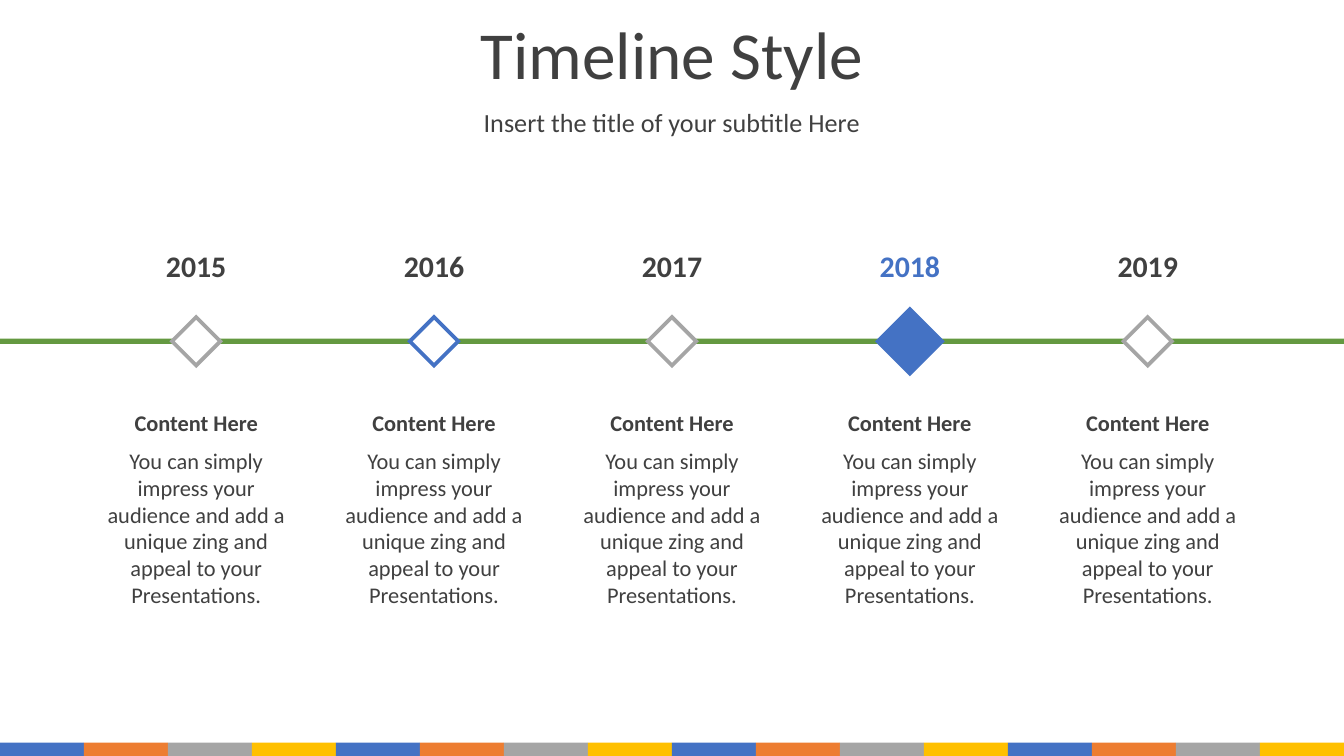
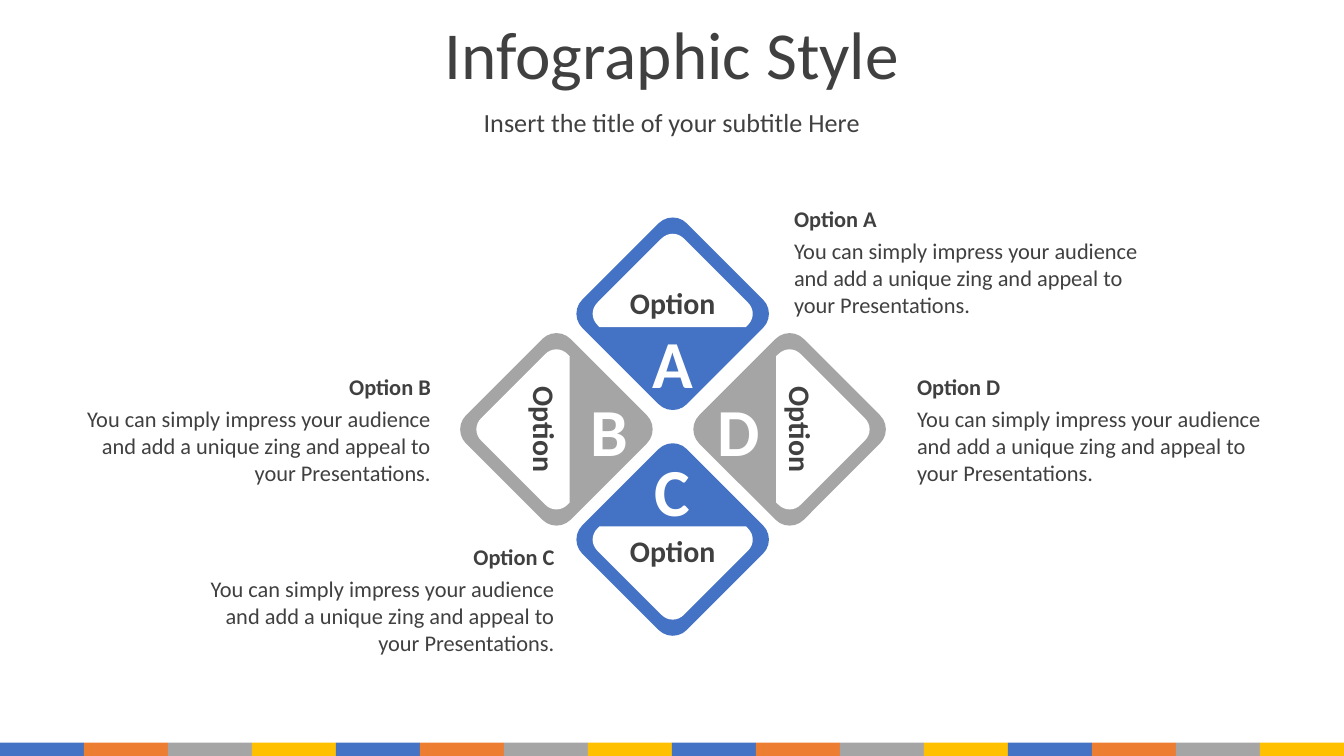
"""Build a timeline slide and a four-option infographic slide."""
from lxml import etree
from pptx import Presentation
from pptx.dml.color import RGBColor
from pptx.enum.shapes import MSO_SHAPE as Shape
from pptx.enum.text import MSO_ANCHOR as Anchor, MSO_AUTO_SIZE as AutoSize, PP_ALIGN as Align
from pptx.oxml.ns import qn
from pptx.util import Pt

PX = 4572
WIDTH, HEIGHT = 2000, 1125
FONT = "Calibri"
DARK, WHITE, GREEN = "404040", "FFFFFF", "649941"
BLUE, ORANGE, GRAY, GOLD = "4472C4", "ED7D31", "A5A5A5", "FFC000"
BAND_COLORS = [BLUE, ORANGE, GRAY, GOLD] * 4
BAND_HEIGHT = 20

SUBTITLE = "Insert the title of your subtitle Here"
PITCH = ("You can simply impress your audience and add a unique zing "
         "and appeal to your Presentations.")

# year, year color, marker size, marker fill, marker outline
MILESTONES = [
    ("2015", DARK, 72, WHITE, GRAY),
    ("2016", DARK, 72, WHITE, BLUE),
    ("2017", DARK, 72, WHITE, GRAY),
    ("2018", BLUE, 96, BLUE, BLUE),
    ("2019", DARK, 72, WHITE, GRAY),
]
MILESTONE_TITLE = "Content Here"
FIRST_X, STEP_X, AXIS_Y = 292, 354, 508

# letter, color, tile center, outward direction, cap turn, letter inset, text corner, alignment
OPTIONS = [
    ("A", BLUE, (1001, 467), (0, -1), 225, 71, (1162, 294), Align.LEFT),
    ("B", GRAY, (828, 639), (-1, 0), 135, 78, (95, 544), Align.RIGHT),
    ("C", BLUE, (1001, 803), (0, 1), 45, 75, (279, 797), Align.RIGHT),
    ("D", GRAY, (1175, 639), (1, 0), 315, 76, (1345, 544), Align.LEFT),
]
TILE, LABEL_OFFSET = 220, 17

# a cap is a square with one corner cut off and three rounded by Bezier curves
CAP_EDGE = [(-91, 63), (63, -91)]
CAP_CORNERS = [
    [(67, -91), (81, -91), (91, -81), (91, -67)],
    [(91, 67), (91, 81), (81, 91), (67, 91)],
    [(-67, 91), (-81, 91), (-91, 81), (-91, 67)],
]


def rgb(color):
    return RGBColor.from_string(color)


def paint(shape, fill, line=None):
    shape.shadow.inherit = False
    shape.fill.solid()
    shape.fill.fore_color.rgb = rgb(fill)
    if line:
        shape.line.color.rgb = rgb(line)
        shape.line.width = Pt(2)
        outline = shape.element.spPr.find(qn("a:ln"))
        etree.SubElement(outline, qn("a:miter"), lim="800000")
    else:
        shape.line.fill.background()


def add_block(slide, kind, left, top, width, height, fill, line=None):
    block = slide.shapes.add_shape(kind, left * PX, top * PX, width * PX, height * PX)
    paint(block, fill, line)
    return block


def add_text(slide, text, left, top, width, height, size,
             color=DARK, bold=False, align=Align.CENTER, fit=AutoSize.SHAPE_TO_FIT_TEXT):
    box = slide.shapes.add_textbox(left * PX, top * PX, width * PX, height * PX)
    frame = box.text_frame
    frame.word_wrap = True
    frame.auto_size = fit
    frame.vertical_anchor = Anchor.MIDDLE
    paragraph = frame.paragraphs[0]
    paragraph.text = text
    paragraph.alignment = align
    font = paragraph.font
    font.name, font.size, font.bold = FONT, Pt(size), bold
    font.color.rgb = rgb(color)
    return box


def add_centered(slide, text, x, y, width, height, size, color=DARK):
    return add_text(slide, text, x - width // 2, y - height // 2,
                    width, height, size, color, True)


def add_base(deck, title):
    slide = deck.slides.add_slide(deck.slide_layouts[6])
    tile_width = WIDTH // len(BAND_COLORS)
    for i, color in enumerate(BAND_COLORS):
        add_block(slide, Shape.RECTANGLE, i * tile_width, HEIGHT - BAND_HEIGHT,
                  tile_width, BAND_HEIGHT, color)
    for text, top, height, size, spacing in [(title, 27, 126, 36, 0.8),
                                             (SUBTITLE, 154, 62, 14, 0.9)]:
        heading = add_text(slide, text, 0, top, WIDTH, height, size, fit=AutoSize.NONE)
        paragraph = heading.text_frame.paragraphs[0]
        paragraph.line_spacing = spacing
        paragraph.space_before = Pt(7.5)
    return slide


def build_timeline(deck):
    slide = add_base(deck, "Timeline Style")
    add_block(slide, Shape.RECTANGLE, 0, AXIS_Y - 4, WIDTH, 8, GREEN)
    for i, (year, color, size, fill, line) in enumerate(MILESTONES):
        x = FIRST_X + i * STEP_X
        add_block(slide, Shape.DIAMOND, x - size // 2, AXIS_Y - size // 2,
                  size, size, fill, line)
        add_centered(slide, year, x, 395, 146, 74, 16, color)
        add_text(slide, PITCH, x - 169, 654, 338, 262, 12)
        add_centered(slide, MILESTONE_TITLE, x, 629, 342, 60, 12)


def add_cap(slide, x, y, turn):
    outline = CAP_EDGE + [point for corner in CAP_CORNERS for point in corner]
    points = [((x + across) * PX, (y + down) * PX) for across, down in outline]
    builder = slide.shapes.build_freeform(*points[0])
    builder.add_line_segments(points[1:], close=True)
    cap = builder.convert_to_shape()
    lines = list(cap.element.iter(qn("a:lnTo")))
    for start in range(1, len(CAP_CORNERS) * 4, 4):
        curve = etree.Element(qn("a:cubicBezTo"))
        lines[start].addnext(curve)
        for line in lines[start + 1:start + 4]:
            curve.append(line[0])
            line.getparent().remove(line)
    cap.rotation = turn
    paint(cap, WHITE)


def build_infographic(deck):
    slide = add_base(deck, "Infographic Style")
    for letter, color, (x, y), (dx, dy), turn, inset, (left, top), align in OPTIONS:
        tile = add_block(slide, Shape.ROUNDED_RECTANGLE, x - TILE // 2, y - TILE // 2,
                         TILE, TILE, color)
        tile.adjustments[0] = 0.135
        tile.rotation = 45
        add_text(slide, PITCH, left, top + 48, 566, 142, 12, align=align)
        add_text(slide, f"Option {letter}", left, top + 1, 566, 60, 12,
                 bold=True, align=align)
        add_centered(slide, letter, x - dx * inset, y - dy * inset, 122, 142, 36, WHITE)
        add_cap(slide, x, y, turn)
        label = add_centered(slide, "Option", x + dx * LABEL_OFFSET,
                             y + dy * LABEL_OFFSET, 228, 74, 16)
        label.rotation = 90 * abs(dx)


def main():
    deck = Presentation()
    deck.slide_width, deck.slide_height = WIDTH * PX, HEIGHT * PX
    build_timeline(deck)
    build_infographic(deck)
    deck.save("out.pptx")


if __name__ == "__main__":
    main()
